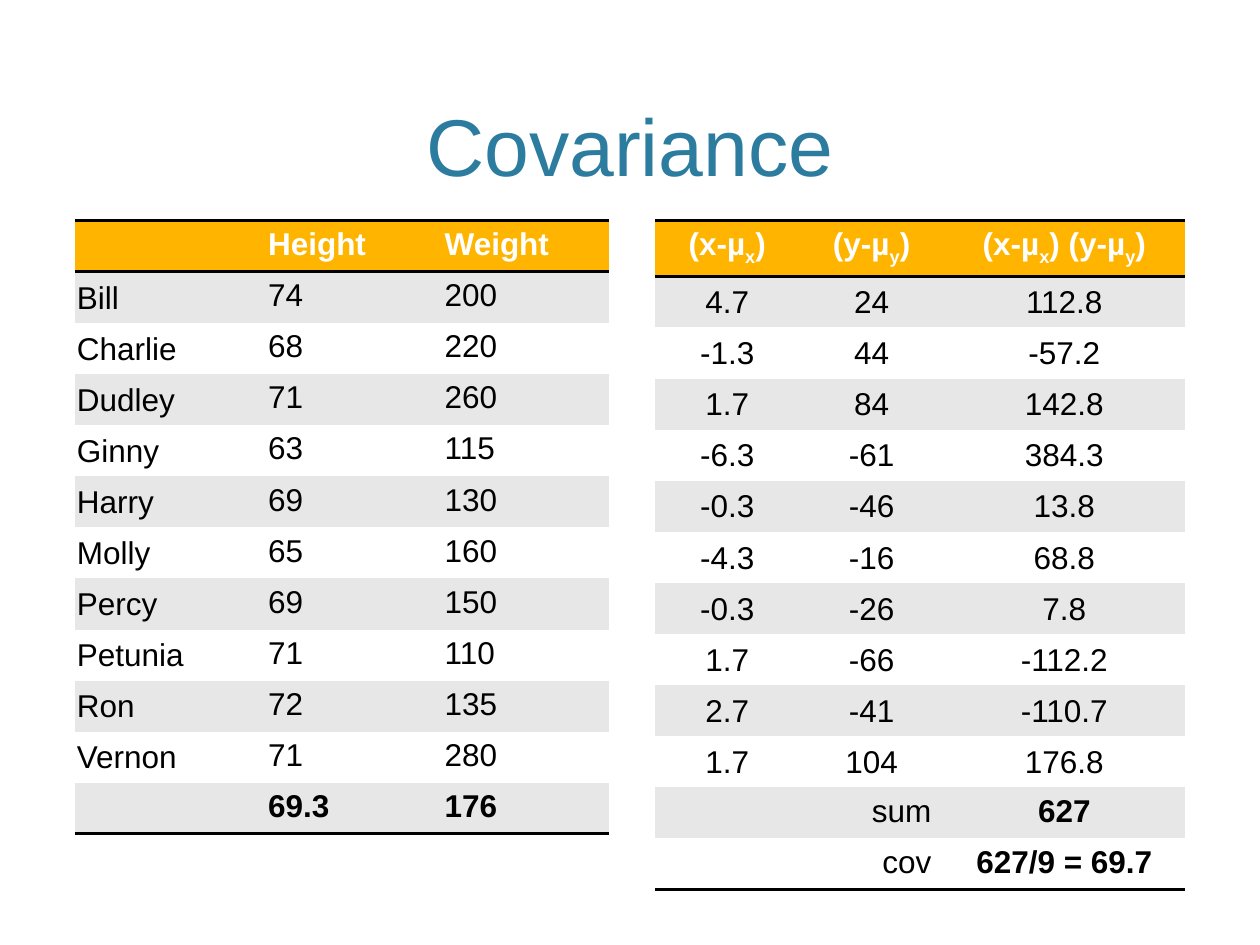
from lxml import etree
from pptx import Presentation
from pptx.dml.color import RGBColor
from pptx.enum.text import MSO_ANCHOR, PP_ALIGN
from pptx.oxml.ns import qn
from pptx.util import Cm, Pt

LEFT, CENTER, RIGHT = PP_ALIGN.LEFT, PP_ALIGN.CENTER, PP_ALIGN.RIGHT
MIDDLE, BOTTOM = MSO_ANCHOR.MIDDLE, MSO_ANCHOR.BOTTOM
FONT = "Arial"
COLORS = {"title": "2C7C9F", "header": "FFB400", "header_text": "FFFFFF",
          "band": "E7E7E7", "plain": "FFFFFF", "text": "000000", "rule": "000000"}
NO_STYLE = "{2D5ABB26-0587-4C30-8999-92F81FD0307C}"
ROW_HEIGHT = 1.03
TIGHT = 0.03

PEOPLE = [
    ("", "Height", "Weight"),
    ("Bill", "74", "200"),
    ("Charlie", "68", "220"),
    ("Dudley", "71", "260"),
    ("Ginny", "63", "115"),
    ("Harry", "69", "130"),
    ("Molly", "65", "160"),
    ("Percy", "69", "150"),
    ("Petunia", "71", "110"),
    ("Ron", "72", "135"),
    ("Vernon", "71", "280"),
    ("", "69.3", "176"),
]
DEVIATIONS = [
    ("(x-µ_x)", "(y-µ_y)", "(x-µ_x) (y-µ_y)"),
    ("4.7", "24", "112.8"),
    ("-1.3", "44", "-57.2"),
    ("1.7", "84", "142.8"),
    ("-6.3", "-61", "384.3"),
    ("-0.3", "-46", "13.8"),
    ("-4.3", "-16", "68.8"),
    ("-0.3", "-26", "7.8"),
    ("1.7", "-66", "-112.2"),
    ("2.7", "-41", "-110.7"),
    ("1.7", "104", "176.8"),
    ("", "sum", "627"),
    ("", "cov", "627/9 = 69.7"),
]


def add_run(paragraph, text, size, color, bold=False, subscript=False):
    """Append one formatted run to the paragraph."""
    run = paragraph.add_run()
    run.text = text
    run.font.name = FONT
    run.font.size = Pt(size)
    run.font.bold = bold
    run.font.color.rgb = RGBColor.from_string(COLORS[color])
    if subscript:
        run.font._element.set("baseline", "-25000")


def add_formula(paragraph, formula, color, bold):
    """Write a formula, lowering the letter after each underscore."""
    start, *rest = formula.split("_")
    if start:
        add_run(paragraph, start, 18, color, bold)
    for part in rest:
        add_run(paragraph, part[0], 18, color, bold, subscript=True)
        add_run(paragraph, part[1:], 18, color, bold)


def add_rule(cell, side):
    """Draw a rule along one side of a cell, lnT or lnB."""
    line = etree.SubElement(cell._tc.get_or_add_tcPr(), qn(f"a:{side}"), w=str(Pt(2)))
    fill = etree.SubElement(line, qn("a:solidFill"))
    etree.SubElement(fill, qn("a:srgbClr"), val=COLORS["rule"])


def tighten(cell):
    """Centre a cell vertically and shrink its margins."""
    cell.vertical_anchor = MIDDLE
    cell.margin_left = cell.margin_right = cell.margin_top = Cm(TIGHT)
    cell.margin_bottom = 0


def add_title(slide, left, top, width, height):
    """Place the slide title at the bottom of its box."""
    frame = slide.shapes.add_textbox(Cm(left), Cm(top), Cm(width), Cm(height)).text_frame
    frame.word_wrap = True
    frame.vertical_anchor = BOTTOM
    heading = frame.paragraphs[0]
    heading.alignment = CENTER
    add_run(heading, "Covariance", 46, "title")


def add_data_table(slide, left, top, widths, rows, align, is_tight, is_bold):
    """Place a banded table with rules around the header and at the foot."""
    table = slide.shapes.add_table(
        len(rows), len(widths), Cm(left), Cm(top),
        Cm(sum(widths)), Cm(ROW_HEIGHT * len(rows))).table
    table._tbl.tblPr.find(qn("a:tableStyleId")).text = NO_STYLE
    for column, width in zip(table.columns, widths):
        column.width = Cm(width)
    for r, values in enumerate(rows):
        table.rows[r].height = Cm(ROW_HEIGHT)
        header, last = r == 0, r == len(rows) - 1
        band = "header" if header else "band" if r % 2 else "plain"
        for c, value in enumerate(values):
            cell = table.cell(r, c)
            if header:
                add_rule(cell, "lnT")
            if header or last:
                add_rule(cell, "lnB")
            cell.fill.solid()
            cell.fill.fore_color.rgb = RGBColor.from_string(COLORS[band])
            if is_tight(r, c):
                tighten(cell)
            paragraph = cell.text_frame.paragraphs[0]
            paragraph.alignment = align(r, c)
            add_formula(paragraph, value, "header_text" if header else "text",
                        header or is_bold(r, c))


def add_deviations(slide, left, top):
    """Place the deviations, their products and the covariance."""
    data_end = len(DEVIATIONS) - 2
    add_data_table(
        slide, left, top, (2.9, 2.92, 4.85), DEVIATIONS,
        align=lambda r, c: RIGHT if r >= data_end and c == 1 else CENTER,
        is_tight=lambda r, c: 0 < r < data_end,
        is_bold=lambda r, c: r >= data_end and c == 2)


def add_people(slide, left, top):
    """Place the heights and weights with their means."""
    mean_row = len(PEOPLE) - 1
    add_data_table(
        slide, left, top, (3.63, 3.56, 3.56), PEOPLE,
        align=lambda r, c: LEFT,
        is_tight=lambda r, c: 0 < r < mean_row and c == 0,
        is_bold=lambda r, c: r == mean_row)


def main():
    """Build the covariance slide."""
    deck = Presentation()
    deck.slide_width, deck.slide_height = Cm(25.4), Cm(19.05)
    slide = deck.slides.add_slide(deck.slide_layouts[6])
    add_title(slide, 1.52, 0.3, 22.35, 3.71)
    add_deviations(slide, 13.21, 4.45)
    add_people(slide, 1.52, 4.45)
    deck.save("out.pptx")


if __name__ == "__main__":
    main()
